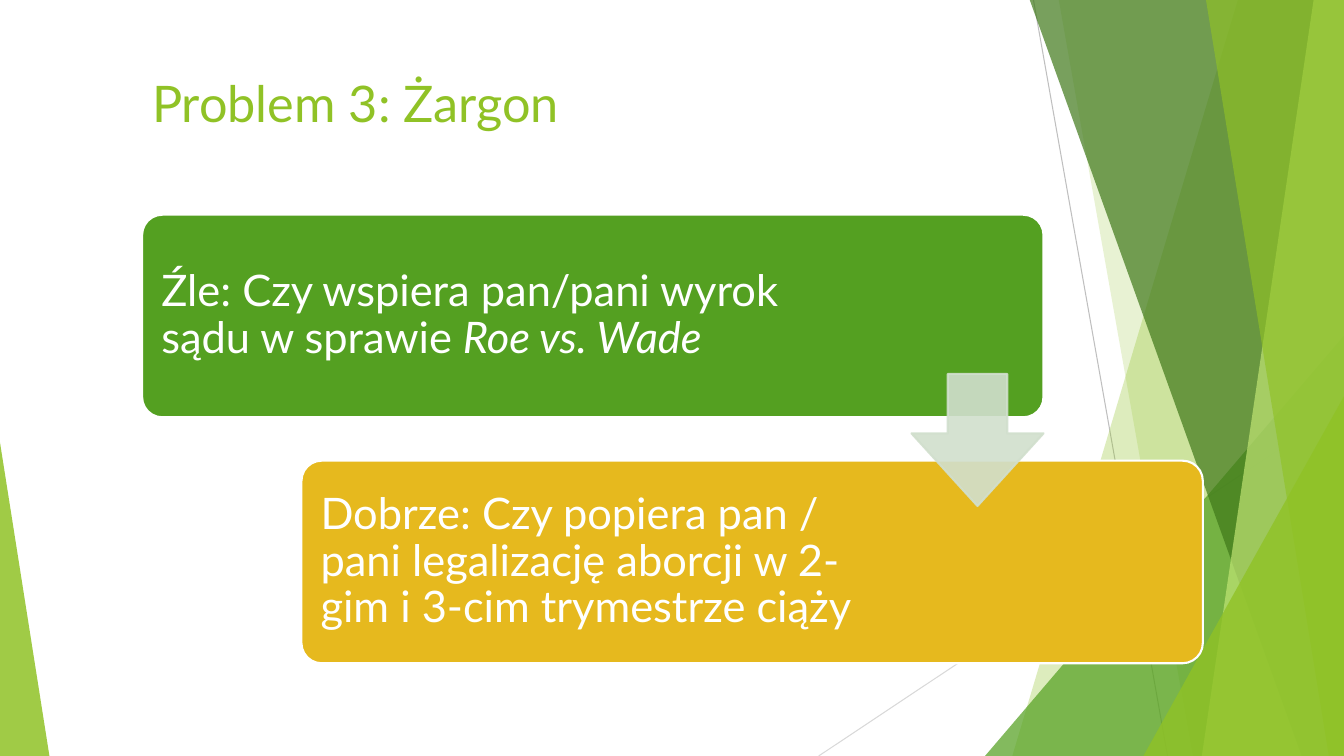
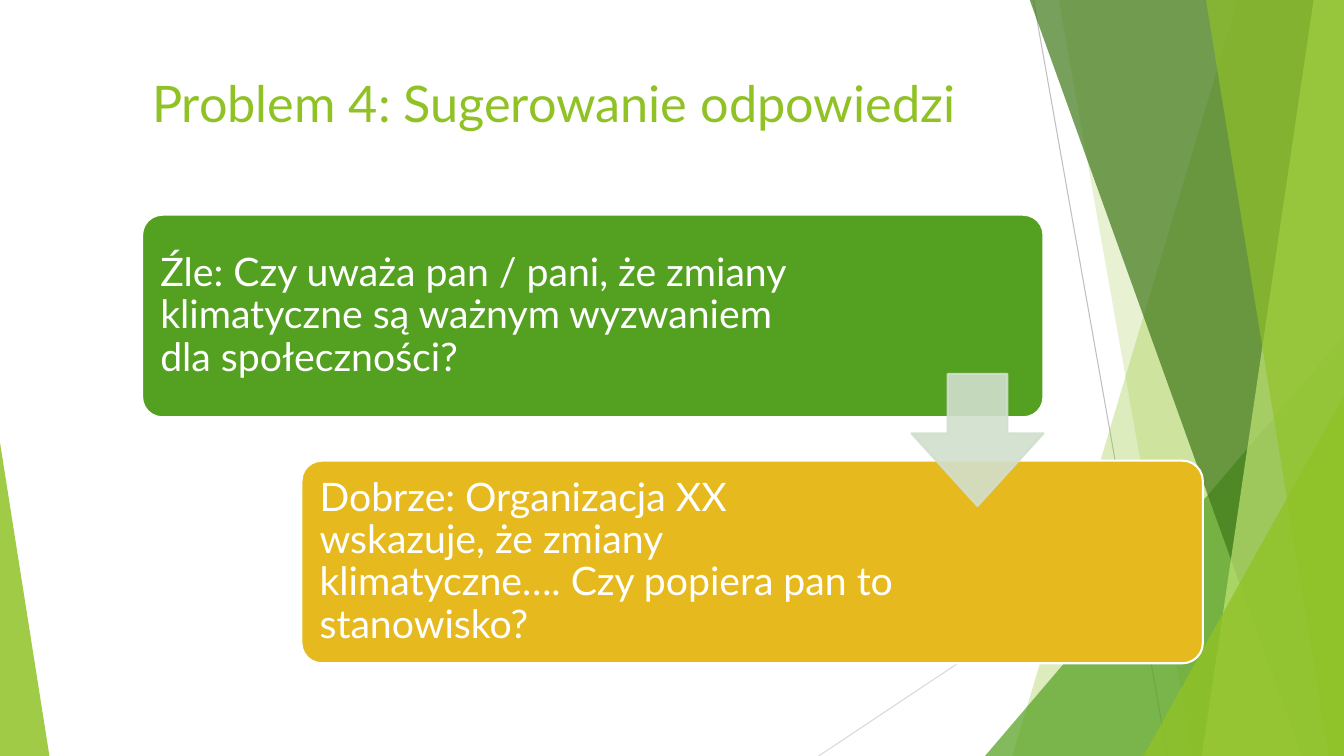
from lxml import etree
from pptx import Presentation
from pptx.dml.color import RGBColor
from pptx.enum.shapes import MSO_CONNECTOR, MSO_SHAPE
from pptx.enum.text import MSO_ANCHOR
from pptx.oxml.ns import qn
from pptx.util import Pt

PX = 9144  # EMU per px, 100 px to the inch
WIDTH, HEIGHT = 1333, 750
FONT = "Lato"

LIME = RGBColor(0x90, 0xC2, 0x26)
GREEN = RGBColor(0x54, 0xA0, 0x21)
DARK_GREEN = RGBColor(0x3F, 0x78, 0x19)
PALE_LIME = RGBColor(0xC0, 0xE4, 0x74)
GOLD = RGBColor(0xE6, 0xB9, 0x1E)
MIST = RGBColor(0xD1, 0xDF, 0xCD)
WHITE = RGBColor(0xFF, 0xFF, 0xFF)
GRAY = RGBColor(0xBF, 0xBF, 0xBF)
LIGHT_GRAY = RGBColor(0xD9, 0xD9, 0xD9)

STRAIGHT = MSO_CONNECTOR.STRAIGHT
TRIANGLE = MSO_SHAPE.ISOSCELES_TRIANGLE
ROUNDED = MSO_SHAPE.ROUNDED_RECTANGLE
DOWN_ARROW = MSO_SHAPE.DOWN_ARROW
TOP, MIDDLE = MSO_ANCHOR.TOP, MSO_ANCHOR.MIDDLE

# Decoration, back to front
LINES = [((1025, 0), (1158, 750), GRAY), ((1333, 403), (812, 750), LIGHT_GRAY)]
RIBBONS_BACK = [(1228, 1004, LIME, 30), (1050, 1183, LIME, 20)]  # top x, bottom x
RIBBONS_FRONT = [(1021, 1291, DARK_GREEN, 70), (1303, 1192, PALE_LIME, 70),
                 (1196, 1318, LIME, 65)]
CORNER_BACK = ((977, 333, 356, 417), 1, GREEN, 72)  # box, apex, colour, opacity
CORNERS_FRONT = [((1134, 393, 199, 357), 1, LIME, 80),
                 ((0, 439, 49, 311), 0, LIME, 85)]

# Regions
TITLE_BOX = (141, 67, 1115, 120)
CARDS_BOX = (141, 213, 1052, 445)
CARD_W, CARD_H, CARD_INSET = 894, 201, 6
ARROW = 131
CARD_STYLES = [(GREEN, 686), (GOLD, 594)]  # fill, text width

SLIDES = [
    ("Problem 3: Żargon", 31, 13, [
        [("Źle: Czy wspiera pan/pani wyrok sądu w sprawie ", False),
         ("Roe vs. Wade", True)],
        [("Dobrze: Czy popiera pan / pani legalizację aborcji w 2-gim "
          "i 3-cim trymestrze ciąży", False)],
    ]),
    ("Problem 4: Sugerowanie odpowiedzi", 28, 12, [
        [("Źle: Czy uważa pan / pani, że zmiany klimatyczne są ważnym "
          "wyzwaniem dla społeczności?", False)],
        [("Dobrze: Organizacja XX wskazuje, że zmiany klimatyczne…. "
          "Czy popiera pan to stanowisko?", False)],
    ]),
]


def emu(*lengths):
    return [v * PX for v in lengths]


def set_attrs(obj, values):
    for name, value in values.items():
        setattr(obj, name, value)


def paint(sp, color, opacity=100, line=None):
    """Fill a shape, outline it if a line colour is given, drop its shadow."""
    sp.shadow.inherit = False
    sp.fill.solid()
    sp.fill.fore_color.rgb = color
    if line is None:
        sp.line.fill.background()
    else:
        sp.line.color.rgb = line
        sp.line.width = Pt(1.5)
    if opacity < 100:
        for clr in sp._element.spPr.iter(qn("a:srgbClr")):
            etree.SubElement(clr, qn("a:alpha")).set("val", str(opacity * 1000))


def add_preset(s, kind, box, adjustments):
    sp = s.shapes.add_shape(kind, *emu(*box))
    for i, value in enumerate(adjustments):
        sp.adjustments[i] = value
    return sp


def add_text(s, box, runs, size, color, margins, anchor, spacing=1.0):
    tf = s.shapes.add_textbox(*emu(*box)).text_frame
    left, top, right, bottom = emu(*margins)
    set_attrs(tf, {"word_wrap": True, "vertical_anchor": anchor,
                   "margin_left": left, "margin_top": top,
                   "margin_right": right, "margin_bottom": bottom})
    p = tf.paragraphs[0]
    p.line_spacing = spacing
    for text, italic in runs:
        r = p.add_run()
        r.text = text
        set_attrs(r.font, {"name": FONT, "size": Pt(size), "italic": italic})
        r.font.color.rgb = color


def add_ribbon(s, top_x, bottom_x, color, opacity):
    """Band from a slanted left edge to the right edge of the slide."""
    fb = s.shapes.build_freeform(*emu(top_x, -1), scale=1.0)
    corners = [(WIDTH, -1), (WIDTH, HEIGHT), (bottom_x, HEIGHT)]
    fb.add_line_segments([emu(*c) for c in corners], close=True)
    paint(fb.convert_to_shape(), color, opacity)


def add_corner(s, box, apex, color, opacity):
    paint(add_preset(s, TRIANGLE, box, [apex]), color, opacity)


def add_decoration(s):
    for start, end, color in LINES:
        line = s.shapes.add_connector(STRAIGHT, *emu(*start, *end))
        line.line.color.rgb = color
        line.line.width = Pt(0.75)
        etree.SubElement(line._element.spPr, qn("a:effectLst"))
    for ribbon in RIBBONS_BACK:
        add_ribbon(s, *ribbon)
    add_corner(s, *CORNER_BACK)
    for ribbon in RIBBONS_FRONT:
        add_ribbon(s, *ribbon)
    for corner in CORNERS_FRONT:
        add_corner(s, *corner)


def add_cards(s, box, texts, size, margin):
    """Two cards stepping down to the right, with an arrow between them."""
    x, y, w, h = box
    steps = [(x, y), (x + w - CARD_W, y + h - CARD_H)]
    for (cx, cy), runs, (fill, text_w) in zip(steps, texts, CARD_STYLES):
        card = add_preset(s, ROUNDED, (cx, cy, CARD_W, CARD_H), [0.1])
        paint(card, fill, line=WHITE)
        text_box = (cx + CARD_INSET, cy + CARD_INSET,
                    text_w, CARD_H - 2 * CARD_INSET)
        add_text(s, text_box, runs, size, WHITE, [margin] * 4, MIDDLE, 0.9)
    # Arrow: flush with the first card's right side
    arrow_box = (x + CARD_W - ARROW, y + 158, ARROW, ARROW)
    arrow = add_preset(s, DOWN_ARROW, arrow_box, [0.45, 0.55])
    paint(arrow, MIST, 90, line=MIST)


def add_problem_slide(prs, title, size, margin, texts):
    s = prs.slides.add_slide(prs.slide_layouts[6])
    add_decoration(s)
    add_text(s, TITLE_BOX, [(title, False)], 36, LIME, (10, 5, 10, 5), TOP)
    add_cards(s, CARDS_BOX, texts, size, margin)


def main():
    prs = Presentation()
    prs.slide_width, prs.slide_height = emu(WIDTH, HEIGHT)
    for content in SLIDES:
        add_problem_slide(prs, *content)
    prs.save("out.pptx")


if __name__ == "__main__":
    main()
